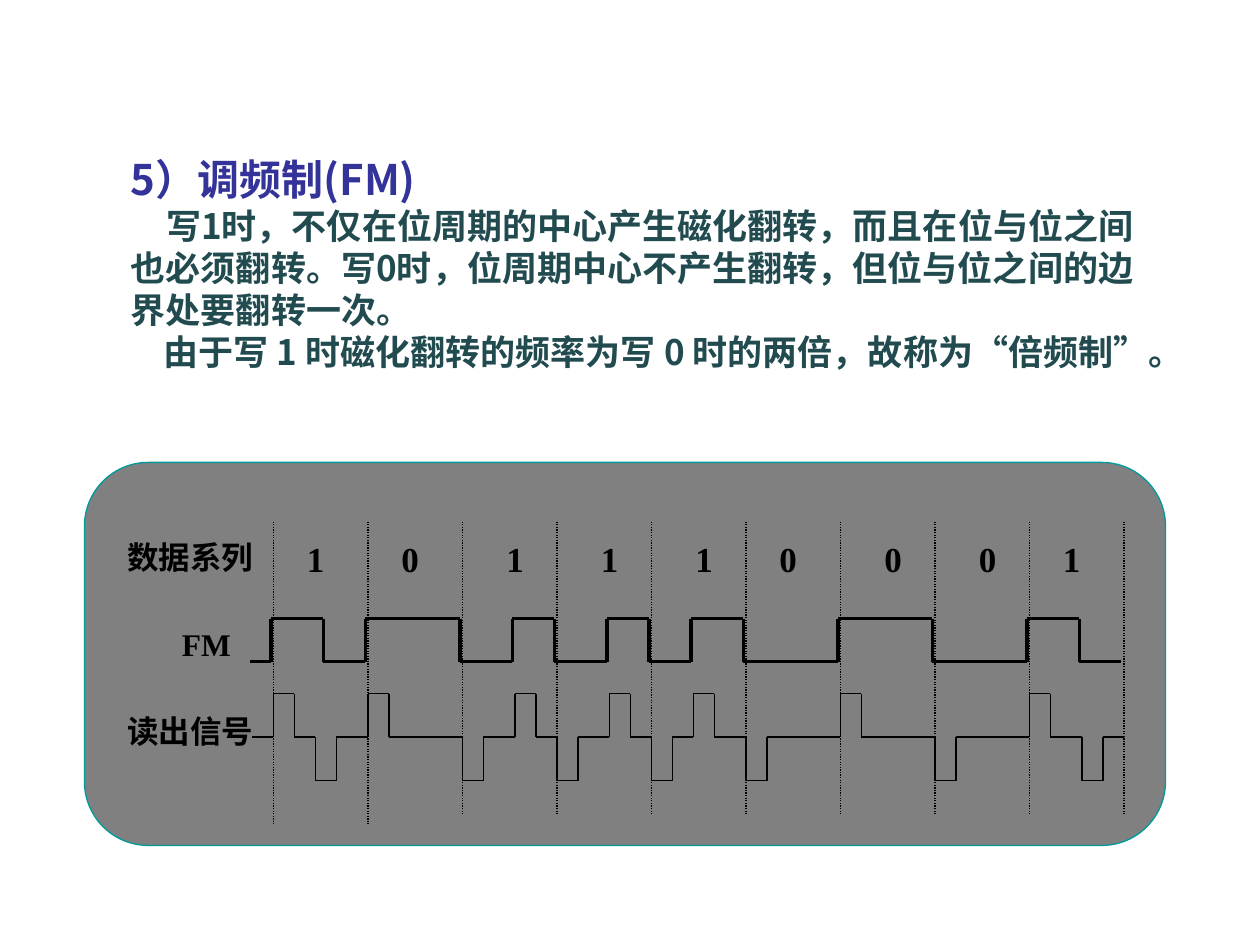
from dataclasses import dataclass
from itertools import pairwise

from pptx import Presentation
from pptx.dml.color import RGBColor
from pptx.enum.dml import MSO_LINE
from pptx.enum.shapes import MSO_CONNECTOR, MSO_SHAPE
from pptx.enum.text import PP_ALIGN
from pptx.oxml.ns import qn
from pptx.util import Inches, Pt

STRAIGHT = MSO_CONNECTOR.STRAIGHT
PANEL = MSO_SHAPE.FLOWCHART_ALTERNATE_PROCESS
DOTTED = MSO_LINE.ROUND_DOT
LEFT, RIGHT = PP_ALIGN.LEFT, PP_ALIGN.RIGHT

COLORS = {"title": "333399", "body": "224B50", "ink": "000000",
          "panel": "808080", "border": "009999"}
SANS, SERIF = "Noto Sans CJK SC", "Times New Roman"

UNIT = 1 / 12          # grid column, in inches
BIT_COLS = 9           # columns in one bit period
PULSE_COLS = 2
GRID_X, FM_X = 2.17, 2.15
GRID_TOP = 4.14
DIGIT_TOP = 4.22
FM_HIGH, FM_LOW = 4.91, 5.25
READ_MID, READ_SWING = 5.85, 0.345


@dataclass
class Bit:
    """One data bit; flip and pulse are columns of the mid-bit transition."""
    value: str
    digit: int
    flip: int | None = None
    pulse: int | None = None


@dataclass
class Label:
    text: str
    x: float
    y: float
    w: float


BITS = [Bit("1", 2, 5, 4), Bit("0", 2), Bit("1", 3, 5, 5),
        Bit("1", 3, 5, 5), Bit("1", 3, 4, 4), Bit("0", 2),
        Bit("0", 3), Bit("0", 3), Bit("1", 2, 5, 5)]
LABELS = [Label("数据系列", 0.91, 4.22, 1.2), Label("FM", 1.34, 4.91, 0.59),
          Label("读出信号", 0.91, 5.6, 1.2)]
END_COL = len(BITS) * BIT_COLS


def rgb(name: str) -> RGBColor:
    return RGBColor.from_string(COLORS[name])


def add_text(p, text: str, *, size: float, color: str = "ink",
             font: str = SERIF, align=LEFT, indent: float = 0,
             spacing: float | None = None) -> None:
    p.alignment = align
    if spacing:
        p.line_spacing = Pt(spacing)
    if indent:
        p._p.get_or_add_pPr().set("indent", str(Inches(indent)))
    r = p.add_run()
    r.text = text
    r.font.size, r.font.bold, r.font.name = Pt(size), True, font
    r.font.color.rgb = rgb(color)
    ea = r._r.get_or_add_rPr().makeelement(qn("a:ea"), {"typeface": SANS})
    r.font._element.find(qn("a:latin")).addnext(ea)


def add_box(s, x: float, y: float, w: float, h: float, wrap: bool = False):
    tb = s.shapes.add_textbox(Inches(x), Inches(y), Inches(w), Inches(h))
    tb.text_frame.word_wrap = wrap
    return tb.text_frame


def add_line(s, start: tuple, end: tuple, width: float, dash=None) -> None:
    c = s.shapes.add_connector(STRAIGHT, *map(Inches, (*start, *end)))
    c.line.width = Pt(width)
    c.line.color.rgb = rgb("ink")
    if dash:
        c.line.dash_style = dash
    sp_pr = c._element.spPr
    sp_pr.append(sp_pr.makeelement(qn("a:effectLst"), {}))


def add_trace(s, points: list[tuple], width: float) -> None:
    for start, end in pairwise(points):
        add_line(s, start, end, width)


def transitions(field: str) -> list[int]:
    """Columns of every flip: each bit boundary, and mid-bit for a 1."""
    cols = []
    for i, bit in enumerate(BITS):
        cols.append(i * BIT_COLS)
        offset = getattr(bit, field)
        if offset is not None:
            cols.append(i * BIT_COLS + offset)
    return cols


def fm_points() -> list[tuple]:
    level, other = FM_LOW, FM_HIGH
    points = [(FM_X - 2 * UNIT, level)]
    for col in transitions("flip"):
        x = FM_X + col * UNIT
        points += [(x, level), (x, other)]
        level, other = other, level
    return points + [(FM_X + END_COL * UNIT, level)]


def read_points() -> list[tuple]:
    points = [(GRID_X - 2 * UNIT, READ_MID)]
    for i, col in enumerate(transitions("pulse")):
        x0 = GRID_X + col * UNIT
        x1 = x0 + PULSE_COLS * UNIT
        peak = READ_MID + (READ_SWING if i % 2 else -READ_SWING)
        points += [(x0, READ_MID), (x0, peak), (x1, peak), (x1, READ_MID)]
    return points + [(GRID_X + END_COL * UNIT, READ_MID)]


def add_explanation(s) -> None:
    tf = add_box(s, 0.94, 1.17, 8.43, 2.5, wrap=True)
    add_text(tf.paragraphs[0], "5）调频制(FM)", size=24, color="title",
             font=SANS, spacing=28.8)
    for text, indent in (
            ("写1时，不仅在位周期的中心产生磁化翻转，而且在位与位之间也必须翻转。"
             "写0时，位周期中心不产生翻转，但位与位之间的边界处要翻转一次。", 0.28),
            ("由于写 1 时磁化翻转的频率为写 0 时的两倍，故称为“倍频制”。", 0.26)):
        add_text(tf.add_paragraph(), text, size=20, color="body", font=SANS,
                 indent=indent, spacing=24)


def add_diagram(s) -> None:
    sp = s.shapes.add_shape(PANEL, *map(Inches, (0.67, 3.67, 8.58, 3.04)))
    sp.shadow.inherit = False
    sp.fill.solid()
    sp.fill.fore_color.rgb = rgb("panel")
    sp.line.color.rgb = rgb("border")
    sp.line.width = Pt(0.75)

    add_trace(s, fm_points(), 2)
    for i in range(len(BITS) + 1):
        x = GRID_X + i * BIT_COLS * UNIT
        add_line(s, (x, GRID_TOP), (x, 6.54 if i < 2 else 6.46), 0.75, DOTTED)
    for i, bit in enumerate(BITS):
        x = GRID_X + (i * BIT_COLS + bit.digit) * UNIT
        tf = add_box(s, x, DIGIT_TOP, 0.34, 0.44)
        add_text(tf.paragraphs[0], bit.value, size=20)
    for label in LABELS:
        tf = add_box(s, label.x, label.y, label.w, 0.4)
        add_text(tf.paragraphs[0], label.text, size=18, align=RIGHT)
    add_trace(s, read_points(), 0.75)


def main() -> None:
    prs = Presentation()
    prs.slide_width, prs.slide_height = Inches(10), Inches(7.5)
    s = prs.slides.add_slide(prs.slide_layouts[6])
    add_explanation(s)
    add_diagram(s)
    prs.save("out.pptx")


if __name__ == "__main__":
    main()
